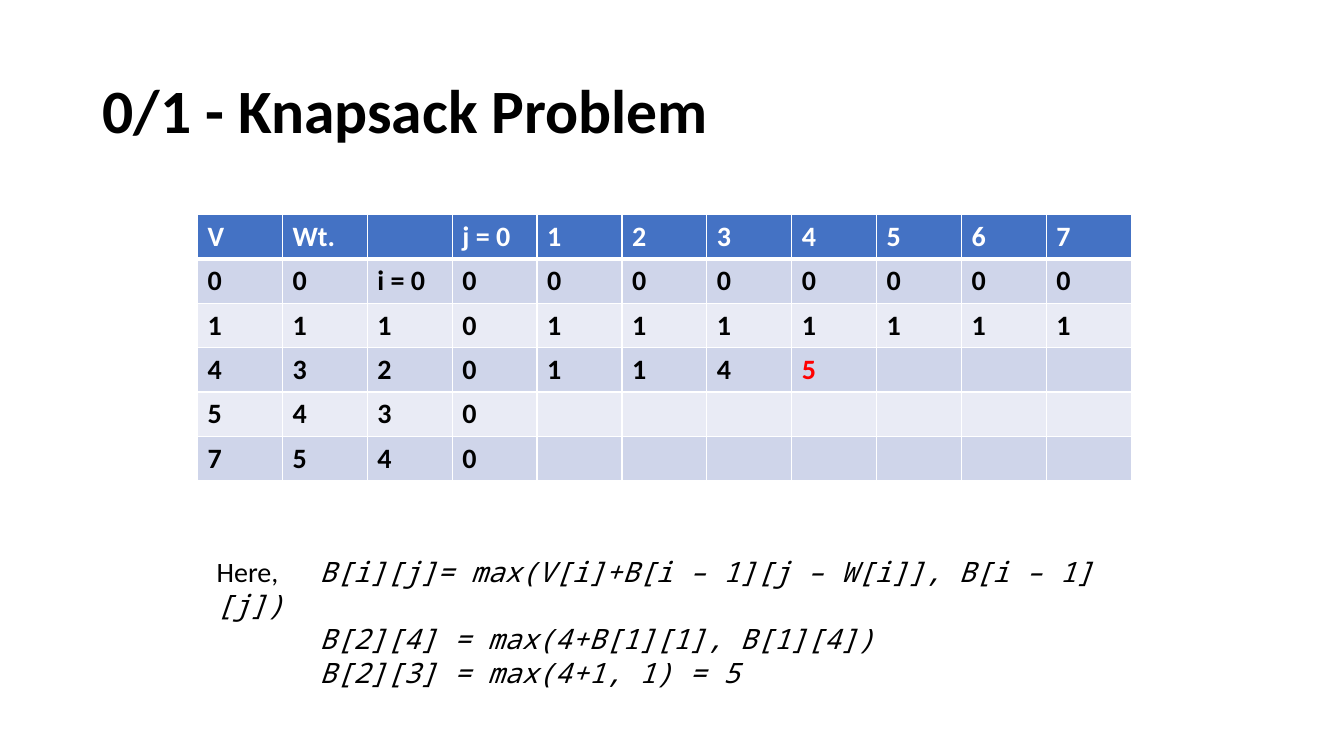
from lxml.etree import SubElement
from pptx import Presentation
from pptx.dml.color import RGBColor
from pptx.enum.text import MSO_ANCHOR
from pptx.oxml.ns import qn
from pptx.util import Inches, Pt

BLACK = RGBColor(0x00, 0x00, 0x00)
WHITE = RGBColor(0xFF, 0xFF, 0xFF)
RED = RGBColor(0xFF, 0x00, 0x00)
HEADER_BLUE = RGBColor(0x44, 0x72, 0xC4)
BAND_DARK = RGBColor(0xCF, 0xD5, 0xEA)
BAND_LIGHT = RGBColor(0xE9, 0xEB, 0xF5)

BODY_FONT = "Calibri"
CODE_FONT = "Noto Sans Mono"

KNAPSACK_ROWS = [
    ["V", "Wt.", "", "j = 0", "1", "2", "3", "4", "5", "6", "7"],
    ["0", "0", "i = 0", "0", "0", "0", "0", "0", "0", "0", "0"],
    ["1", "1", "1", "0", "1", "1", "1", "1", "1", "1", "1"],
    ["4", "3", "2", "0", "1", "1", "4", "5", "", "", ""],
    ["5", "4", "3", "0", "", "", "", "", "", "", ""],
    ["7", "5", "4", "0", "", "", "", "", "", "", ""],
]
CURRENT_CELL = (3, 7)

RECURRENCE = "B[i][j]= max(V[i]+B[i – 1][j – W[i]], B[i – 1][j])"
STEPS = ["B[2][4] = max(4+B[1][1], B[1][4])", "B[2][3] = max(4+1, 1) = 5"]


def style_font(font, size, color=BLACK, name=BODY_FONT, bold=False, italic=False):
    font.name, font.size = name, Pt(size)
    font.bold, font.italic = bold, italic
    font.color.rgb = color


def add_text_frame(slide, left, top, width, height):
    box = slide.shapes.add_textbox(Inches(left), Inches(top),
                                   Inches(width), Inches(height))
    box.text_frame.word_wrap = True
    return box.text_frame


def set_borders(cell, top, bottom):
    """White cell borders; top and bottom widths in points."""
    tc_pr = cell._tc.get_or_add_tcPr()
    for side, width in (("L", 1), ("R", 1), ("T", top), ("B", bottom)):
        line = SubElement(tc_pr, qn(f"a:ln{side}"), w=str(Pt(width)))
        fill = SubElement(line, qn("a:solidFill"))
        SubElement(fill, qn("a:srgbClr"), val=str(WHITE))


def add_title(slide, left, top, width, height):
    tf = add_text_frame(slide, left, top, width, height)
    tf.vertical_anchor = MSO_ANCHOR.MIDDLE
    p = tf.paragraphs[0]
    p.text = "0/1 - Knapsack Problem"
    p.line_spacing = 0.9
    style_font(p.runs[0].font, 44, bold=True)


def add_knapsack_table(slide, left, top, width, row_height):
    n_rows, n_cols = len(KNAPSACK_ROWS), len(KNAPSACK_ROWS[0])
    table = slide.shapes.add_table(n_rows, n_cols, Inches(left), Inches(top),
                                   Inches(width), Inches(row_height * n_rows)).table
    for i, values in enumerate(KNAPSACK_ROWS):
        for j, value in enumerate(values):
            cell = table.cell(i, j)
            set_borders(cell, top=3 if i == 1 else 1, bottom=3 if i == 0 else 1)
            cell.fill.solid()
            if i == 0:
                fill, color = HEADER_BLUE, WHITE
            else:
                fill, color = (BAND_DARK if i % 2 else BAND_LIGHT), BLACK
            if (i, j) == CURRENT_CELL:
                color = RED
            cell.fill.fore_color.rgb = fill
            p = cell.text_frame.paragraphs[0]
            p.text = value
            style_font(p.font, 20, color, bold=True)
            for r in p.runs:
                style_font(r.font, 20, color, bold=True)


def add_formula(slide, left, top, width, height, indent):
    tf = add_text_frame(slide, left, top, width, height)

    # Recurrence: the label, then a tab to the code column
    p = tf.paragraphs[0]
    tabs = SubElement(p._p.get_or_add_pPr(), qn("a:tabLst"))
    SubElement(tabs, qn("a:tab"), pos=str(Inches(indent)), algn="l")
    label, code = p.add_run(), p.add_run()
    label.text, code.text = "Here,\t", RECURRENCE
    style_font(label.font, 20)
    style_font(code.font, 20, name=CODE_FONT, italic=True)

    # Worked steps, indented to the same column
    for step in STEPS:
        p = tf.add_paragraph()
        p.text = step
        p._p.get_or_add_pPr().set("marL", str(Inches(indent)))
        style_font(p.runs[0].font, 20, name=CODE_FONT, italic=True)


def main():
    prs = Presentation()
    prs.slide_width, prs.slide_height = Inches(13.33), Inches(7.5)
    slide = prs.slides.add_slide(prs.slide_layouts[6])
    add_title(slide, 0.92, 0.4, 11.5, 1.45)
    add_knapsack_table(slide, 1.96, 2.13, 9.26, row_height=0.44)
    add_formula(slide, 2.05, 5.45, 9.29, 1.11, indent=1.02)
    prs.save("out.pptx")


if __name__ == "__main__":
    main()
